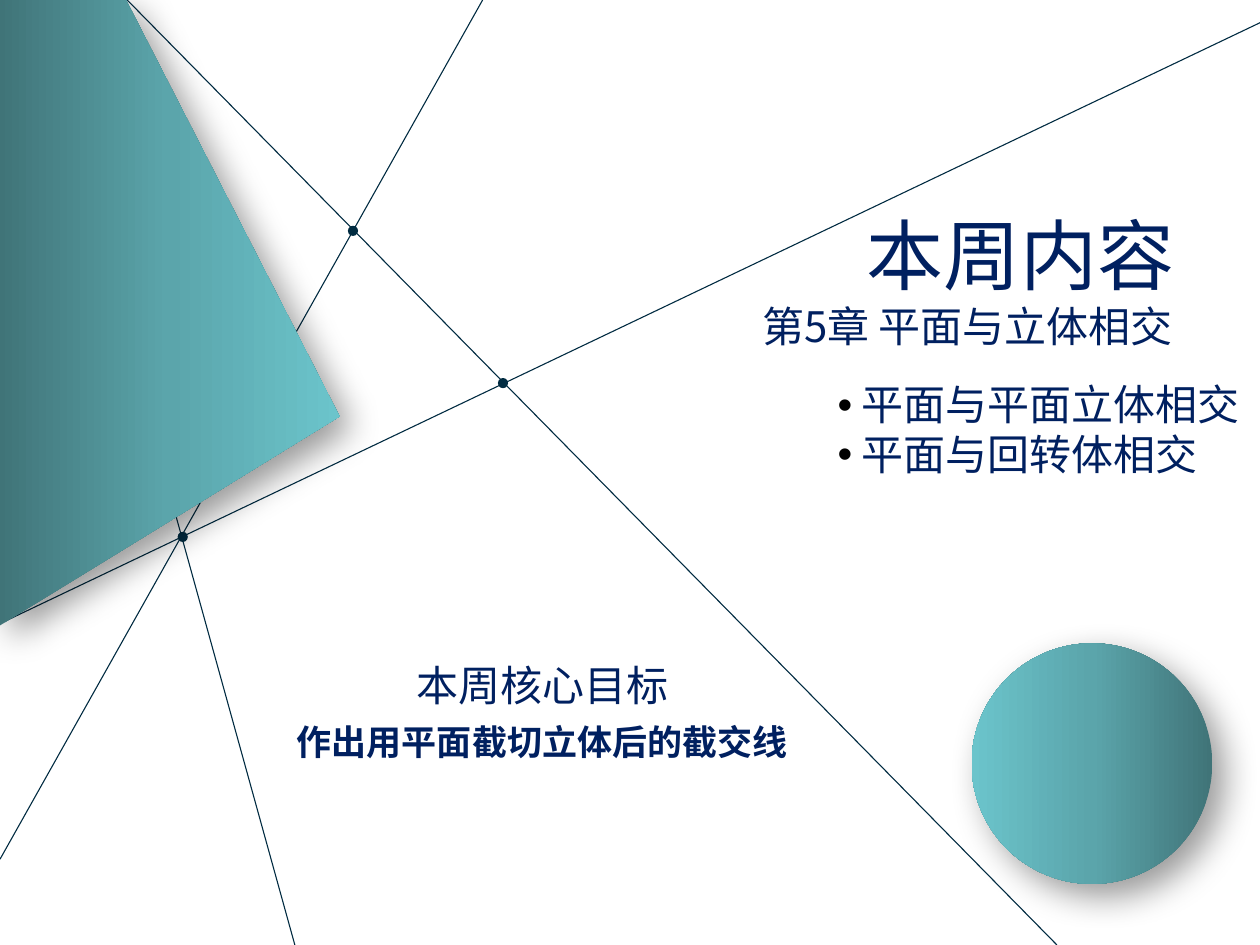
"""Build a weekly contents slide with geometric line decoration."""
from dataclasses import dataclass

from lxml.etree import SubElement
from pptx import Presentation
from pptx.dml.color import RGBColor
from pptx.enum.shapes import MSO_CONNECTOR, MSO_SHAPE
from pptx.enum.text import MSO_AUTO_SIZE, MSO_ANCHOR, PP_ALIGN
from pptx.oxml import parse_xml
from pptx.oxml.ns import nsdecls, qn
from pptx.util import Pt


@dataclass(frozen=True)
class Theme:
    text: str = "002060"
    line: str = "002B41"
    bullet: str = "000000"
    gradient: tuple = ((0, "407478"), (50, "5BA5AB"), (100, "6BC4CB"))
    title_font: str = "Arial"
    body_font: str = "Noto Sans CJK SC"
    title_size: int = 44
    body_size: int = 24
    goal_size: int = 20
    line_width: float = 0.63
    line_spacing: float = 0.88


THEME = Theme()
PAGE_SIZE = (720, 540)
TITLE = "本周内容"
CHAPTER = "第5章 平面与立体相交"
TOPICS = [" 平面与平面立体相交", " 平面与回转体相交"]
GOAL_HEADING = "本周核心目标"
GOAL = "作出用平面截切立体后的截交线"

TITLE_AREA = (474.5, 114.5, 218, 60.5)
CHAPTER_AREA = (428.4, 172, 413.3, 39.6)
GOAL_AREA = (136, 377.3, 347.8, 72.7)
TOPICS_AREA = (471.6, 216.7, 269.3, 118)
LINES = [
    ((604, 540), (72.7, 0)),
    ((275.8, 0), (0, 491)),
    ((720, 13), (1.4, 355.7)),
    ((168.5, 540), (34.6, 56.9)),
]
DOT_CENTRES = [(201.7, 131.9), (104.4, 306.8), (287.4, 218.9)]
DOT_SIZE = 5.8
PANEL_POINTS = [(72.4, 0), (-0.7, 0), (-0.7, 357.8), (194.4, 237.6)]
DISC_AREA = (555.2, 367.6, 137.5, 137.5)


def points(*values):
    return [Pt(value) for value in values]


def add_text(frame, text, size=THEME.body_size, font=THEME.body_font, bold=False,
             align=PP_ALIGN.LEFT, before=0, spacing=THEME.line_spacing, bullet=False):
    para = frame.paragraphs[0]
    if para.runs:
        para = frame.add_paragraph()
    para.alignment = align
    para.space_before = Pt(before)
    para.line_spacing = spacing
    if bullet:
        properties = para._p.get_or_add_pPr()
        colour = SubElement(properties, qn("a:buClr"))
        SubElement(colour, qn("a:srgbClr"), val=THEME.bullet)
        SubElement(properties, qn("a:buFont"), typeface=THEME.title_font)
        SubElement(properties, qn("a:buChar"), char="•")
    span = para.add_run()
    span.text = text
    span.font.size = Pt(size)
    span.font.bold = bold
    span.font.name = font
    span.font.color.rgb = RGBColor.from_string(THEME.text)
    SubElement(span._r.get_or_add_rPr(), qn("a:ea"), typeface=THEME.body_font)


def add_frame(page, area):
    frame = page.shapes.add_textbox(*points(*area)).text_frame
    frame.word_wrap = True
    return frame


def add_line(page, start, end):
    line = page.shapes.add_connector(MSO_CONNECTOR.STRAIGHT, *points(*start, *end))
    line.line.color.rgb = RGBColor.from_string(THEME.line)
    line.line.width = Pt(THEME.line_width)
    SubElement(line._element.spPr, qn("a:effectLst"))


def add_dot(page, centre):
    left, top = (value - DOT_SIZE / 2 for value in centre)
    dot = page.shapes.add_shape(MSO_SHAPE.OVAL, *points(left, top, DOT_SIZE, DOT_SIZE))
    dot.shadow.inherit = False
    dot.fill.solid()
    dot.fill.fore_color.rgb = RGBColor.from_string(THEME.line)
    dot.line.fill.background()


def shade(shape, angle):
    shape.line.fill.background()
    shape.shadow.inherit = False
    stops = "".join(f'<a:gs pos="{position * 1000}"><a:srgbClr val="{colour}"/></a:gs>'
                    for position, colour in THEME.gradient)
    gradient = parse_xml(f'<a:gradFill {nsdecls("a")} rotWithShape="1"><a:gsLst>{stops}</a:gsLst>'
                         f'<a:lin ang="{angle * 60000}" scaled="0"/></a:gradFill>')
    properties = shape._element.spPr
    properties.find(qn("a:ln")).addprevious(gradient)
    shadow = SubElement(properties.find(qn("a:effectLst")), qn("a:outerShdw"),
                        blurRad=str(Pt(20)), dist=str(Pt(10)), dir="2700000",
                        algn="tl", rotWithShape="0")
    colour = SubElement(shadow, qn("a:srgbClr"), val="000000")
    SubElement(colour, qn("a:alpha"), val="40000")


def main():
    deck = Presentation()
    deck.slide_width, deck.slide_height = points(*PAGE_SIZE)
    page = deck.slides.add_slide(deck.slide_layouts[5])

    title = page.shapes.title
    title.left, title.top, title.width, title.height = points(*TITLE_AREA)
    title.text_frame.auto_size = MSO_AUTO_SIZE.NONE
    title.text_frame.vertical_anchor = MSO_ANCHOR.MIDDLE
    add_text(title.text_frame, TITLE, size=THEME.title_size, font=THEME.title_font,
             align=PP_ALIGN.CENTER, spacing=1)

    add_text(add_frame(page, CHAPTER_AREA), CHAPTER)
    goal_frame = add_frame(page, GOAL_AREA)
    add_text(goal_frame, GOAL_HEADING, align=PP_ALIGN.CENTER)
    add_text(goal_frame, GOAL, size=THEME.goal_size, bold=True,
             align=PP_ALIGN.CENTER, before=8.5)
    topics_frame = add_frame(page, TOPICS_AREA)
    for index, topic in enumerate(TOPICS):
        add_text(topics_frame, topic, before=2.9 * index, bullet=True)

    for start, end in LINES:
        add_line(page, start, end)
    for centre in DOT_CENTRES:
        add_dot(page, centre)

    builder = page.shapes.build_freeform(*PANEL_POINTS[0], scale=Pt(1))
    builder.add_line_segments(PANEL_POINTS[1:], close=True)
    shade(builder.convert_to_shape(), angle=0)
    shade(page.shapes.add_shape(MSO_SHAPE.OVAL, *points(*DISC_AREA)), angle=180)
    deck.save("out.pptx")


if __name__ == "__main__":
    main()
